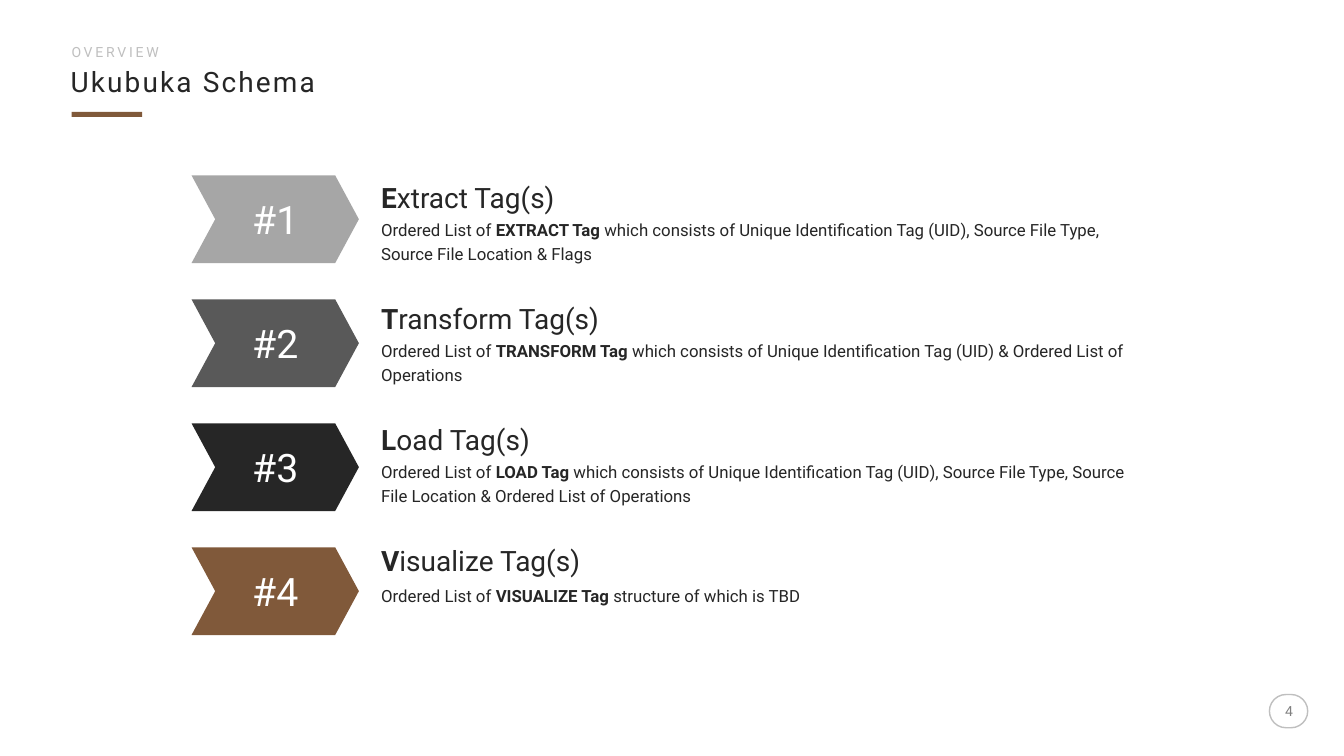
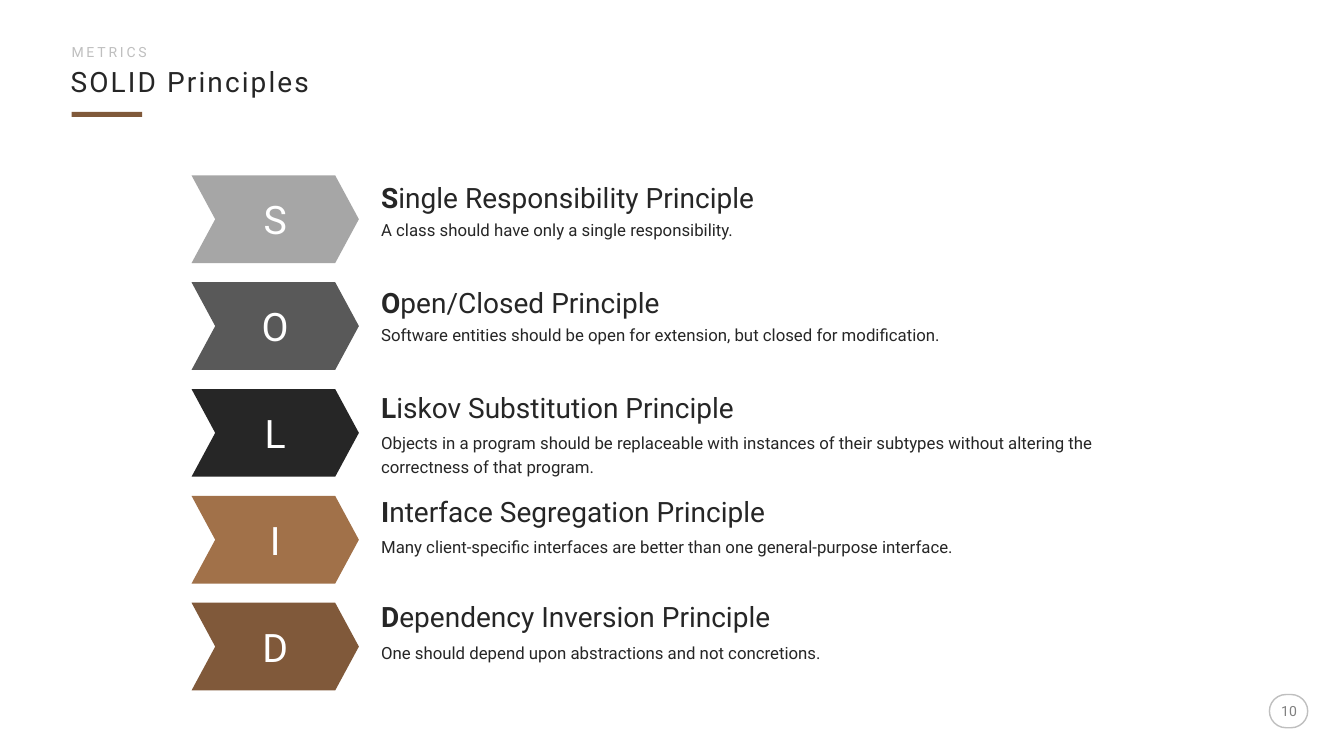
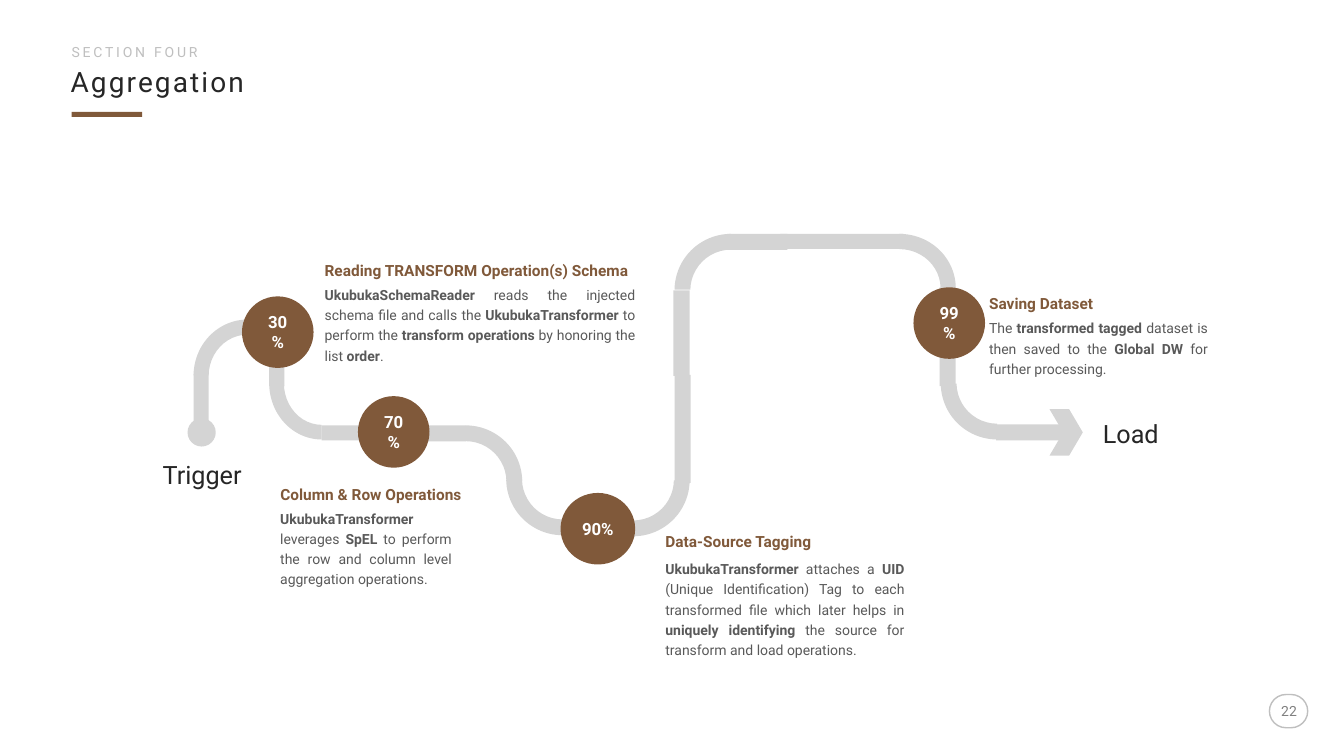
"""Build three slides on a data schema, design principles and aggregation."""
from pptx import Presentation
from pptx.dml.color import RGBColor
from pptx.enum.shapes import MSO_SHAPE
from pptx.enum.text import MSO_ANCHOR, MSO_AUTO_SIZE, PP_ALIGN
from pptx.util import Inches, Pt

FONT = "Roboto"
BROWN = RGBColor(0x80, 0x59, 0x3A)
TAN = RGBColor(0xA1, 0x71, 0x49)
INK = RGBColor(0x26, 0x26, 0x26)
SLATE = RGBColor(0x59, 0x59, 0x59)
GRAY = RGBColor(0x80, 0x80, 0x80)
STONE = RGBColor(0xA6, 0xA6, 0xA6)
SILVER = RGBColor(0xBF, 0xBF, 0xBF)
PIPE = RGBColor(0xD4, 0xD4, 0xD4)
WHITE = RGBColor(0xFF, 0xFF, 0xFF)

# Text between asterisks is bold; each row is label, fill, heading, body, drop.
SCHEMA = [
    ("#1", STONE, "*E*xtract Tag(s)",
     "Ordered List of *EXTRACT Tag *which consists of Unique Identification "
     "Tag (UID), Source File Type, Source File Location & Flags", 0.35),
    ("#2", SLATE, "*T*ransform Tag(s)",
     "Ordered List of *TRANSFORM Tag *which consists of Unique Identification "
     "Tag (UID) & Ordered List of Operations", 0.35),
    ("#3", INK, "*L*oad Tag(s)",
     "Ordered List of *LOAD Tag* which consists of Unique Identification Tag "
     "(UID), Source File Type, Source File Location & Ordered List of "
     "Operations", 0.35),
    ("#4", BROWN, "*V*isualize Tag(s)",
     "Ordered List of *VISUALIZE Tag* structure of which is TBD", 0.38),
]
SOLID = [
    ("S", STONE, "*S*ingle Responsibility Principle",
     "A class should have only a single responsibility.", 0.35),
    ("O", SLATE, "*O*pen/Closed Principle",
     "Software entities should be open for extension, but closed for "
     "modification.", 0.35),
    ("L", INK, "*L*iskov Substitution Principle",
     "Objects in a program should be replaceable with instances of their "
     "subtypes without altering the correctness of that program.", 0.38),
    ("I", TAN, "*I*nterface Segregation Principle",
     "Many client-specific interfaces are better than one general-purpose "
     "interface.", 0.38),
    ("D", BROWN, "*D*ependency Inversion Principle",
     "One should depend upon abstractions and not concretions.", 0.39),
]
BARS = [
    (1.92, 3.71, 0.15, 0.51), (2.67, 3.32, 0.15, 0.51),
    (3.19, 4.22, 0.67, 0.15), (3.9, 4.22, 0.72, 0.16),
    (5.58, 5.17, 0.72, 0.16), (6.69, 3.72, 0.16, 1.07),
    (6.68, 2.88, 0.16, 0.85), (7.23, 2.32, 0.58, 0.16),
    (7.74, 2.32, 1.22, 0.15), (9.32, 2.85, 0.16, 0.49),
    (9.32, 3.32, 0.16, 0.51), (9.88, 4.21, 0.72, 0.16),
]
# Box, rotation, mirrored
BENDS = [
    ((1.92, 3.17, 1.07, 1.12), 0, True),
    ((2.67, 3.24, 1.04, 1.12), 180, False),
    ((4.06, 4.22, 1.12, 1.12), 0, False),
    ((5.02, 4.19, 1.12, 1.12), 180, False),
    ((5.72, 4.2, 1.12, 1.12), 180, True),
    ((6.69, 2.32, 1.12, 1.12), 0, True),
    ((8.36, 2.32, 1.12, 1.08), 0, False),
    ((9.33, 3.24, 1.12, 1.12), 180, False),
]
STOPS = [
    ("30%", (2.4, 2.94, 0.71, 0.71)), ("70%", (3.55, 3.93, 0.71, 0.71)),
    ("90%", (5.56, 4.89, 0.74, 0.71)), ("99%", (9.06, 2.85, 0.71, 0.71)),
]
# Heading, body, left, heading top, body top, width, body height
NOTES = [
    ("Reading TRANSFORM Operation(s) Schema",
     "*UkubukaSchemaReader* reads the injected schema file and calls the "
     "*UkubukaTransformer* to perform the *transform operations *by honoring "
     "the list *order*.", 3.22, 2.61, 2.81, 3.08, 0.81),
    ("Column & Row Operations",
     "*UkubukaTransformer* leverages *SpEL *to perform the row and column "
     "level aggregation operations.", 2.78, 4.83, 5.03, 1.7, 0.84),
    ("Data-Source Tagging",
     "*UkubukaTransformer* attaches a *UID* (Unique Identification) Tag to "
     "each transformed file which later helps in *uniquely identifying *the "
     "source for transform and load operations.", 6.6, 5.3, 5.53, 2.37, 1.02),
    ("Saving Dataset",
     "The *transformed tagged *dataset is then saved to the *Global DW *for "
     "further processing.", 9.81, 2.94, 3.14, 2.17, 0.58),
]


def place(item, box):
    item.left, item.top, item.width, item.height = map(Inches, box)


def write(item, text, size, color=INK, bold=False, align=PP_ALIGN.LEFT,
          anchor=MSO_ANCHOR.TOP, pad=(0, 0), line=None, before=0, track=0,
          wrap=True):
    frame = item.text_frame
    frame.auto_size = MSO_AUTO_SIZE.NONE
    frame.word_wrap = wrap
    frame.vertical_anchor = anchor
    frame.margin_left = frame.margin_right = Inches(pad[0])
    frame.margin_top = frame.margin_bottom = Inches(pad[1])
    para = frame.paragraphs[0]
    para.alignment = align
    para.space_before = Pt(before)
    if line:
        para.line_spacing = line
    for i, part in enumerate(text.split("*")):
        if not part:
            continue
        run = para.add_run()
        run.text = part
        font = run.font
        font.name, font.size, font.bold = FONT, Pt(size), bold or i % 2 == 1
        font.color.rgb = color
        if track:
            run._r.get_or_add_rPr().set("spc", str(int(track * 100)))


def label(slide, box, text, size, **style):
    item = slide.shapes.add_textbox(*map(Inches, box))
    write(item, text, size, **style)


def draw(slide, kind, box, fill=None, line=None, adjust=(), turn=0,
         mirror=False):
    item = slide.shapes.add_shape(kind, *map(Inches, box))
    item.shadow.inherit = False
    if fill is None:
        item.fill.background()
    else:
        item.fill.solid()
        item.fill.fore_color.rgb = fill
    if line is None:
        item.line.fill.background()
    else:
        item.line.color.rgb = line
        item.line.width = Pt(1)
    for i, value in enumerate(adjust):
        item.adjustments[i] = value
    item.rotation = turn
    if mirror:
        item._element.spPr.xfrm.set("flipH", "1")
    return item


def start(deck, topic, title, page):
    slide = deck.slides.add_slide(deck.slide_layouts[5])
    draw(slide, MSO_SHAPE.ROUNDED_RECTANGLE, (12.59, 6.89, 0.38, 0.33),
         line=SILVER, adjust=[0.5])
    draw(slide, MSO_SHAPE.RECTANGLE, (0.71, 1.11, 0.7, 0.05), BROWN)
    head = slide.shapes.title
    place(head, (0.7, 0.68, 11.93, 0.33))
    write(head, title, 20, line=0.9, before=10, track=1.5)
    label(slide, (0.71, 0.45, 11.93, 0.17), topic, 10, color=SILVER,
          line=0.9, before=10, track=2)
    label(slide, (12.55, 6.84, 0.47, 0.43), page, 10, color=GRAY,
          align=PP_ALIGN.CENTER, anchor=MSO_ANCHOR.MIDDLE)
    return slide


def ladder(slide, rows, step, pitch):
    pad = (0.04, 0.05)
    for i, (mark, fill, head, body, drop) in enumerate(rows):
        arrow = draw(slide, MSO_SHAPE.CHEVRON,
                     (1.9, 1.74 + i * step, 1.66, 0.87), fill, adjust=[0.27])
        write(arrow, mark, 28, color=WHITE, align=PP_ALIGN.CENTER,
              anchor=MSO_ANCHOR.MIDDLE, pad=(0.1, 0.05))
        top = 1.74 + i * pitch
        label(slide, (3.74, top, 7.76, 0.44), head, 20, pad=pad)
        label(slide, (3.74, top + drop, 7.76, 0.59), body, 12, pad=pad,
              line=1.2)


def flow(slide):
    for box in BARS:
        draw(slide, MSO_SHAPE.RECTANGLE, box, PIPE)
    for box, turn, mirror in BENDS:
        draw(slide, MSO_SHAPE.BLOCK_ARC, box, PIPE,
             adjust=[162.03, 215.54, 0.14], turn=turn, mirror=mirror)
    draw(slide, MSO_SHAPE.OVAL, (1.86, 4.15, 0.28, 0.28), PIPE)
    draw(slide, MSO_SHAPE.CHEVRON, (10.41, 4.06, 0.33, 0.46), PIPE,
         adjust=[0.41])
    label(slide, (1.3, 4.51, 1.41, 0.41), "Trigger", 18, pad=(0.1, 0.05),
          align=PP_ALIGN.CENTER)
    label(slide, (10.84, 4.1, 0.76, 0.4), "Load", 18, pad=(0.1, 0.05),
          wrap=False)
    for text, box in STOPS:
        disc = draw(slide, MSO_SHAPE.OVAL, box, BROWN)
        write(disc, text, 12, color=WHITE, bold=True, align=PP_ALIGN.CENTER,
              anchor=MSO_ANCHOR.MIDDLE, pad=(0.1, 0.05))
    for head, body, left, top, under, width, high in NOTES:
        label(slide, (left, top, max(width, 2.11), 0.23), head, 11,
              color=BROWN, bold=True, line=0.9, before=7.5)
        label(slide, (left, under, width, high), body, 10, color=SLATE,
              align=PP_ALIGN.JUSTIFY, line=1.2, before=7.5)


def main():
    deck = Presentation()
    deck.slide_width, deck.slide_height = Inches(13.33), Inches(7.5)
    ladder(start(deck, "OVERVIEW", "Ukubuka Schema", "4"), SCHEMA, 1.23, 1.2)
    ladder(start(deck, "METRICS", "SOLID Principles", "10"), SOLID, 1.06, 1.04)
    flow(start(deck, "SECTION FOUR", "Aggregation", "22"))
    deck.save("out.pptx")


if __name__ == "__main__":
    main()
